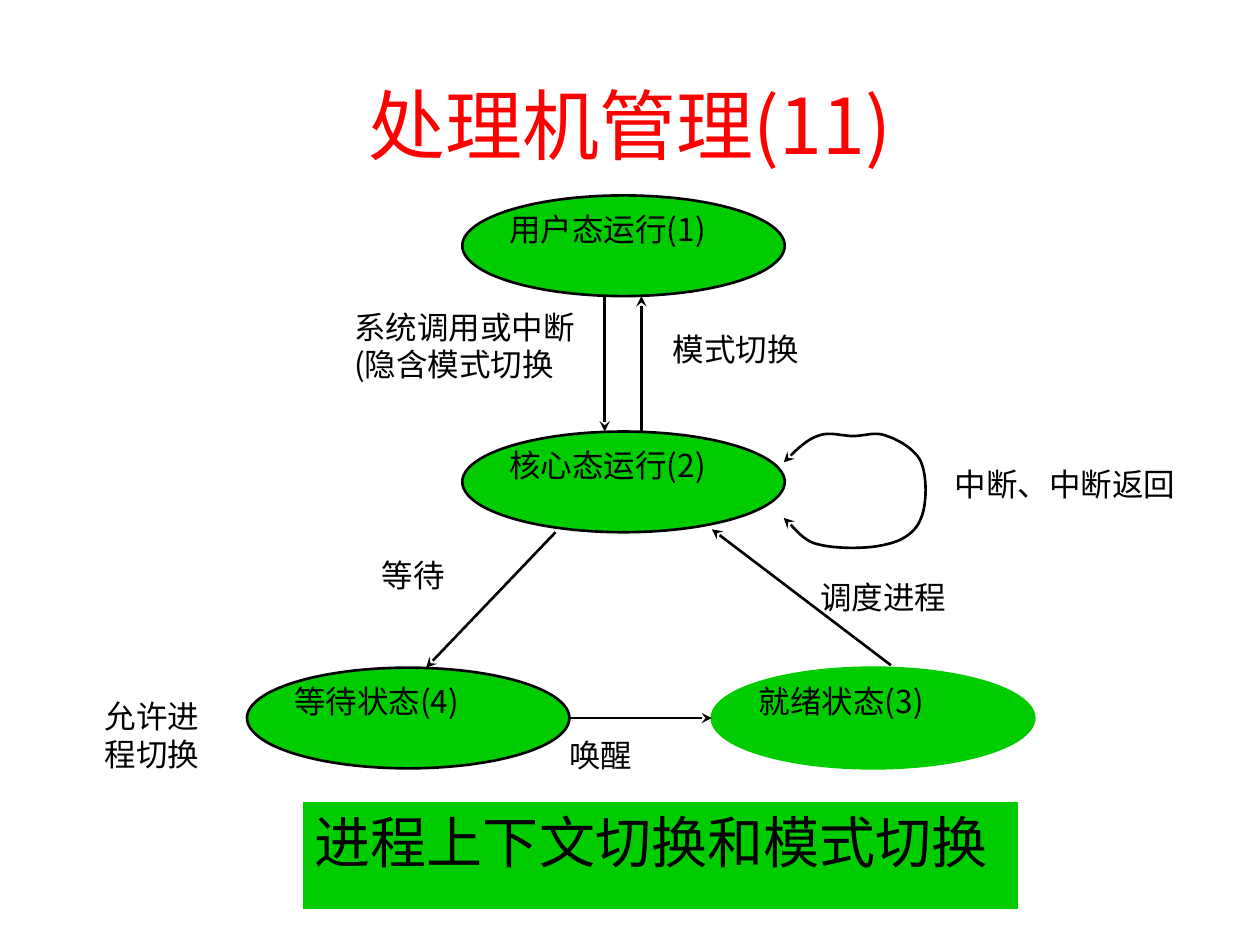
from dataclasses import dataclass

from lxml.etree import SubElement
from pptx import Presentation
from pptx.dml.color import RGBColor
from pptx.enum.shapes import MSO_CONNECTOR as CONN, MSO_SHAPE as SHAPE
from pptx.enum.text import MSO_ANCHOR as ANCHOR, PP_ALIGN as ALIGN
from pptx.oxml.ns import qn
from pptx.util import Cm, Pt


@dataclass(frozen=True)
class Theme:
    font: str = "Noto Sans CJK SC"
    title: str = "FF0000"
    ink: str = "000000"
    green: str = "00CC00"
    paper: str = "FFFFFF"
    title_size: int = 44
    banner_size: int = 32
    label_size: int = 18
    line: float = 1.5


def write(tf, text, *, font, size, color, align=ALIGN.LEFT,
          anchor=ANCHOR.TOP, insets=(0, 0)):
    """Fill a text frame, one paragraph per line of text."""
    tf.word_wrap = True
    tf.vertical_anchor = anchor
    tf.margin_left = tf.margin_right = Cm(insets[0])
    tf.margin_top = tf.margin_bottom = Cm(insets[1])
    for i, line in enumerate(text.split("\n")):
        p = tf.paragraphs[0] if i == 0 else tf.add_paragraph()
        p.alignment = align
        r = p.add_run()
        r.text = line
        r.font.size = Pt(size)
        r.font.color.rgb = RGBColor.from_string(color)
        r.font.name = font
        SubElement(r.font._element, qn("a:ea"), typeface=font)


def bezier(start, curves, steps=12):
    """Points along a chain of cubic curves."""
    points = [start]
    for c1, c2, end in curves:
        p0 = points[-1]
        for i in range(1, steps + 1):
            t = i / steps
            u = 1 - t
            points.append(tuple(
                u**3 * a + 3 * u * u * t * b + 3 * u * t * t * c + t**3 * d
                for a, b, c, d in zip(p0, c1, c2, end)))
    return points


class Painter:
    def __init__(self, slide, theme):
        self.s, self.th = slide, theme

    def stroke(self, line, color, width):
        line.color.rgb = RGBColor.from_string(color)
        line.width = Pt(width)

    def heads(self, sp, *ends):
        ln = sp.line._get_or_add_ln()
        for end in ends:
            SubElement(ln, qn(f"a:{end}"), type="stealth")

    def title(self, text, *box):
        sp = self.s.shapes.title
        sp.left, sp.top, sp.width, sp.height = map(Cm, box)
        write(sp.text_frame, text, font=self.th.font, size=self.th.title_size,
              color=self.th.title, align=ALIGN.CENTER, anchor=ANCHOR.MIDDLE,
              insets=(0.25, 0.13))

    def block(self, kind, text, box, *, size, line, width, insets=(0, 0)):
        sp = self.s.shapes.add_shape(kind, *map(Cm, box))
        sp.shadow.inherit = False
        sp.fill.solid()
        sp.fill.fore_color.rgb = RGBColor.from_string(self.th.green)
        self.stroke(sp.line, line, width)
        write(sp.text_frame, text, font=self.th.font, size=size,
              color=self.th.ink, insets=insets)

    def state(self, text, x, y, line=None):
        self.block(SHAPE.OVAL, text, (x, y, STATE_W, STATE_H),
                   size=self.th.label_size, line=line or self.th.ink,
                   width=self.th.line)

    def banner(self, text, *box):
        self.block(SHAPE.RECTANGLE, text, box, size=self.th.banner_size,
                   line=self.th.paper, width=0.75, insets=(0.25, 0.13))

    def label(self, text, *box):
        tb = self.s.shapes.add_textbox(*map(Cm, box))
        write(tb.text_frame, text, font=self.th.font, size=self.th.label_size,
              color=self.th.ink)

    def arrow(self, *ends):
        cx = self.s.shapes.add_connector(CONN.STRAIGHT, *map(Cm, ends))
        self.stroke(cx.line, self.th.ink, self.th.line)
        self.heads(cx, "tailEnd")
        SubElement(cx._element.spPr, qn("a:effectLst"))

    def loop(self, start, curves):
        first, *rest = [(Cm(x), Cm(y)) for x, y in bezier(start, curves)]
        fb = self.s.shapes.build_freeform(*first)
        fb.add_line_segments(rest, close=False)
        sp = fb.convert_to_shape()
        sp.shadow.inherit = False
        sp.fill.background()
        self.stroke(sp.line, self.th.ink, self.th.line)
        self.heads(sp, "headEnd", "tailEnd")


# State grid, in centimetres
STATE_W, STATE_H = 6.5, 2.03
USER_Y, ROW_STEP = 3.94, 4.76
CORE_Y, LOW_Y = USER_Y + ROW_STEP, USER_Y + 2 * ROW_STEP
MID_X, WAIT_X, READY_X = 9.32, 4.98, 14.35


def main():
    prs = Presentation()
    prs.slide_width, prs.slide_height = Cm(25.4), Cm(19.05)
    s = prs.slides.add_slide(prs.slide_layouts[5])
    th = Theme()
    d = Painter(s, th)

    d.title("处理机管理(11)", 1.9, 0.91, 21.59, 3.18)

    # Process states
    d.state("用户态运行(1)", MID_X, USER_Y)
    d.state("核心态运行(2)", MID_X, CORE_Y)
    d.state("等待状态(4)", WAIT_X, LOW_Y)
    d.state("就绪状态(3)", READY_X, LOW_Y, line=th.green)

    # Transitions
    user_bottom, low_mid = USER_Y + STATE_H, LOW_Y + STATE_H / 2
    d.arrow(12.19, user_bottom, 12.19, CORE_Y)
    d.arrow(12.93, CORE_Y, 12.93, user_bottom)
    d.arrow(11.2, CORE_Y + STATE_H, 8.59, LOW_Y)
    d.arrow(17.96, 13.41, 14.35, 10.67)
    d.arrow(WAIT_X + STATE_W, low_mid, READY_X, low_mid)

    # Interrupt loop back into the core state
    d.loop((15.8, 9.32), [
        ((16.03, 9.09), (16.26, 8.86), (16.48, 8.79)),
        ((16.71, 8.69), (16.97, 8.79), (17.2, 8.79)),
        ((17.42, 8.79), (17.65, 8.69), (17.88, 8.79)),
        ((18.11, 8.86), (18.47, 9.07), (18.57, 9.32)),
        ((18.69, 9.6), (18.69, 10.16), (18.57, 10.44)),
        ((18.47, 10.72), (18.21, 10.9), (17.88, 10.97)),
        ((17.53, 11.07), (16.84, 11.07), (16.48, 10.97)),
        ((16.15, 10.9), (15.93, 10.52), (15.8, 10.44)),
    ])

    # Transition labels
    for text, *box in [
        ("系统调用或中断(隐含模式切换", 7.14, 6.2, 4.8, 3.2),
        ("模式切换", 13.56, 6.65, 3.61, 1.37),
        ("中断、中断返回", 19.25, 9.37, 5.44, 1.35),
        ("等待", 7.7, 11.2, 2.51, 1.17),
        ("调度进程", 16.54, 11.66, 3.61, 1.55),
        ("唤醒", 11.48, 14.83, 2.67, 1.09),
        ("允许进\n程切换", 2.11, 14.05, 2.9, 2.39),
    ]:
        d.label(text, *box)

    d.banner("进程上下文切换和模式切换", 6.1, 16.15, 14.43, 2.18)
    prs.save("out.pptx")


if __name__ == "__main__":
    main()
